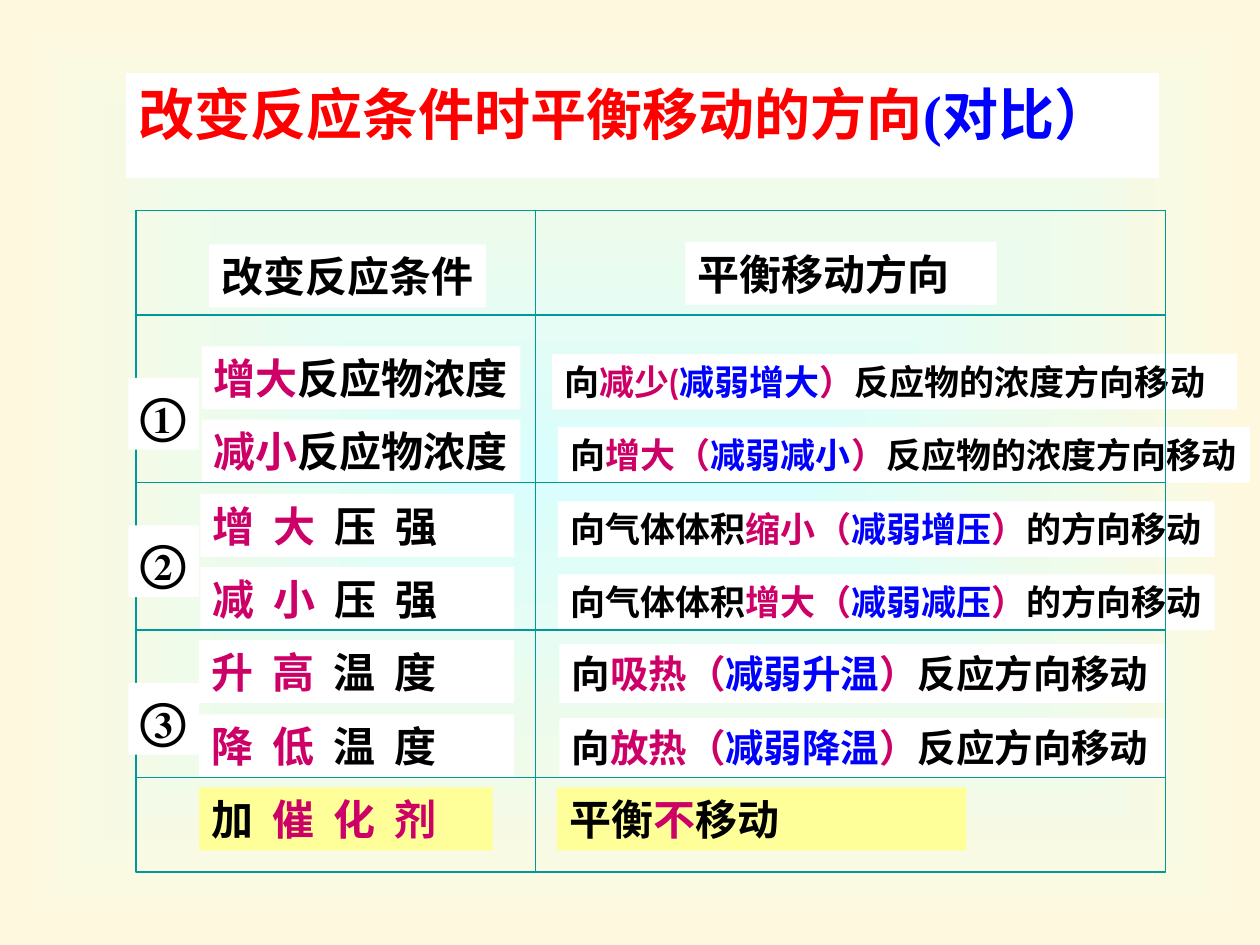
from lxml.etree import SubElement
from pptx import Presentation
from pptx.dml.color import RGBColor
from pptx.enum.shapes import MSO_CONNECTOR, MSO_SHAPE
from pptx.enum.text import MSO_ANCHOR, MSO_AUTO_SIZE, PP_ALIGN
from pptx.oxml import parse_xml
from pptx.oxml.ns import nsdecls, qn
from pptx.util import Pt

PX = 9144  # 100 px to the inch
BLACK = RGBColor(0x00, 0x00, 0x00)
WHITE = RGBColor(0xFF, 0xFF, 0xFF)
RED = RGBColor(0xFF, 0x00, 0x00)
BLUE = RGBColor(0x00, 0x00, 0xFF)
PINK = RGBColor(0xCC, 0x00, 0x66)
YELLOW = RGBColor(0xFF, 0xFF, 0x99)
TEAL = RGBColor(0x00, 0x99, 0x99)
CENTRE = RGBColor(0xDA, 0xFE, 0xFD)
EDGE = RGBColor(0xFE, 0xF9, 0xDE)
SANS, SERIF = "Cabin", "Times New Roman"

# Top of each line, condition (left, width, runs), direction (left, width, size, runs)
ROWS = [
    (275, (160, 253, [("增大", PINK), ("反应物浓度", BLACK)]),
     (438, 544, 20, [("向", BLACK), ("减少(", PINK), ("减弱增大", BLUE),
                     ("）", PINK), ("反应物的浓度方向移动", BLACK)])),
    (333, (160, 253, [("减小", PINK), ("反应物浓度", BLACK)]),
     (443, 549, 20, [("向", BLACK), ("增大（", PINK), ("减弱减小", BLUE),
                     ("）", PINK), ("反应物的浓度方向移动", BLACK)])),
    (392, (159, 249, [("增 大", PINK), (" 压 强", BLACK)]),
     (443, 521, 20, [("向气体体积", BLACK), ("缩小（", PINK), ("减弱增压", BLUE),
                     ("）", PINK), ("的方向移动", BLACK)])),
    (450, (159, 249, [("减 小", PINK), (" 压 强", BLACK)]),
     (443, 521, 20, [("向气体体积", BLACK), ("增大（", PINK), ("减弱减压", BLUE),
                     ("）", PINK), ("的方向移动", BLACK)])),
    (508, (158, 250, [("升 高", PINK), (" 温 度", BLACK)]),
     (444, 482, 22, [("向", BLACK), ("吸热（", PINK), ("减弱升温", BLUE),
                     ("）", PINK), ("反应方向移动", BLACK)])),
    (567, (158, 250, [("降 低", PINK), (" 温 度", BLACK)]),
     (444, 482, 22, [("向", BLACK), ("放热（", PINK), ("减弱降温", BLUE),
                     ("）", PINK), ("反应方向移动", BLACK)])),
]
LABEL_HEIGHT = {20: 44, 22: 47, 24: 50}


def place(s, box):
    s.left, s.top, s.width, s.height = (v * PX for v in box)


def fill_text(s, runs, size, font, fill, wrap):
    s.fill.solid()
    s.fill.fore_color.rgb = fill
    tf = s.text_frame
    tf.word_wrap = wrap
    tf.auto_size = MSO_AUTO_SIZE.SHAPE_TO_FIT_TEXT
    tf.vertical_anchor = MSO_ANCHOR.TOP
    p = tf.paragraphs[0]
    p.alignment = PP_ALIGN.LEFT
    for text, color in runs:
        r = p.add_run()
        r.text = text
        r.font.name, r.font.size, r.font.bold = font, Pt(size), True
        r.font.color.rgb = color
        if " " in text:  # spread-out words
            r._r.get_or_add_rPr().set("spc", "270")


def add_label(slide, box, runs, size=24, font=SANS, fill=WHITE, wrap=False):
    s = slide.shapes.add_textbox(*(v * PX for v in box))
    fill_text(s, runs, size, font, fill, wrap)


def set_background(slide):
    fill = slide.background.fill
    fill.gradient()
    for stop, color in zip(fill.gradient_stops, (CENTRE, EDGE)):
        stop.color.rgb = color
    grad = slide.background._cSld.find(".//" + qn("a:gradFill"))
    grad.replace(grad.find(qn("a:lin")), parse_xml(
        f'<a:path {nsdecls("a")} path="rect">'
        '<a:fillToRect l="50000" t="50000" r="50000" b="50000"/></a:path>'))


def add_title(slide, box):
    s = slide.shapes.title
    place(s, box)
    fill_text(s, [("改变反应条件时平衡移动的方向", RED), ("(对比）", BLUE)],
              32, SERIF, WHITE, False)


def add_headers(slide, x, y):
    add_label(slide, (x + 58, y + 27, 220, 50), [("改变反应条件", BLACK)])
    add_label(slide, (x + 436, y + 25, 247, 50), [("平衡移动方向", BLACK)], wrap=True)


def add_rows(slide):
    for top, (left, width, runs), (d_left, d_width, size, d_runs) in ROWS:
        add_label(slide, (left, top, width, 50), runs, wrap=" " in runs[0][0])
        height = LABEL_HEIGHT[size]
        # both labels of a line share their bottom edge
        add_label(slide, (d_left, top + 50 - height, d_width, height), d_runs, size)


def add_catalyst(slide, x, y):
    add_label(slide, (x, y, 233, 50), [("加 ", BLACK), ("催 化 剂", PINK)],
              fill=YELLOW, wrap=True)
    add_label(slide, (x + 284, y, 325, 50),
              [("平衡", BLACK), ("不", PINK), ("移动", BLACK)],
              fill=YELLOW, wrap=True)


def add_grid(slide, x, y, w, h):
    # Outer frame, header, concentration and temperature bands
    for dy, band in ((0, h), (0, 83), (83, 133), (333, 117)):
        s = slide.shapes.add_shape(MSO_SHAPE.RECTANGLE,
                                   *(v * PX for v in (x, y + dy, w, band)))
        s.shadow.inherit = False
        s.fill.background()
        s.line.color.rgb = TEAL
        s.line.width = Pt(0.75)
    # Column divider
    mid = x + 317
    line = slide.shapes.add_connector(
        MSO_CONNECTOR.STRAIGHT, *(v * PX for v in (mid, y, mid, y + h)))
    line.line.color.rgb = TEAL
    line.line.width = Pt(0.75)
    SubElement(line._element.spPr, qn("a:effectLst"))


def add_numbers(slide, x):
    for number, y in zip("①②③", (300, 417, 542)):
        add_label(slide, (x, y, 56, 57), [(number, BLACK)], 28, SERIF)


def main():
    prs = Presentation()
    prs.slide_width, prs.slide_height = 1000 * PX, 750 * PX
    slide = prs.slides.add_slide(prs.slide_layouts[5])
    set_background(slide)
    add_title(slide, (100, 58, 820, 64))
    add_rows(slide)
    add_headers(slide, 108, 167)
    add_catalyst(slide, 158, 625)
    add_grid(slide, 108, 167, 817, 525)
    add_numbers(slide, 102)
    prs.save("out.pptx")


if __name__ == "__main__":
    main()
